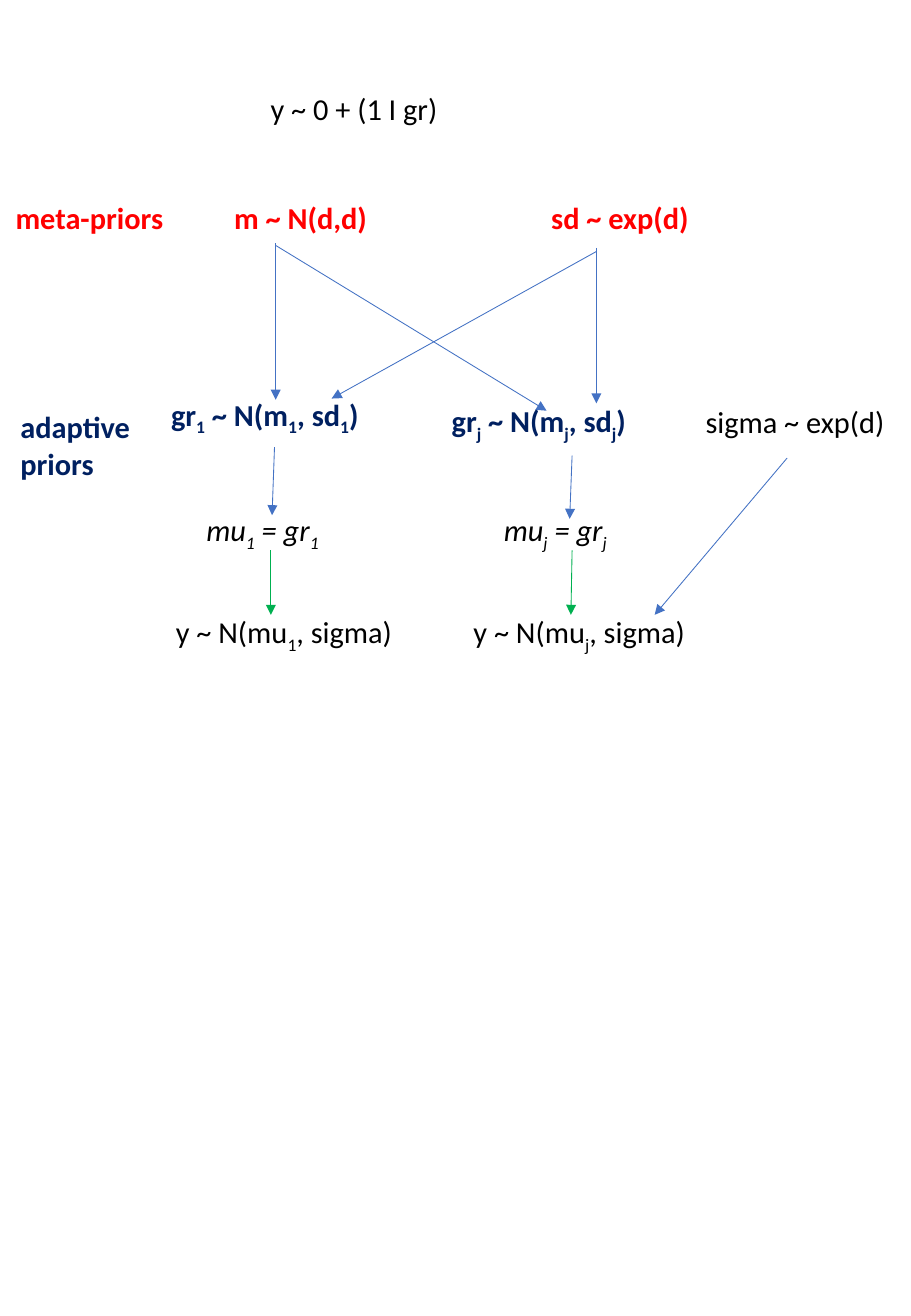
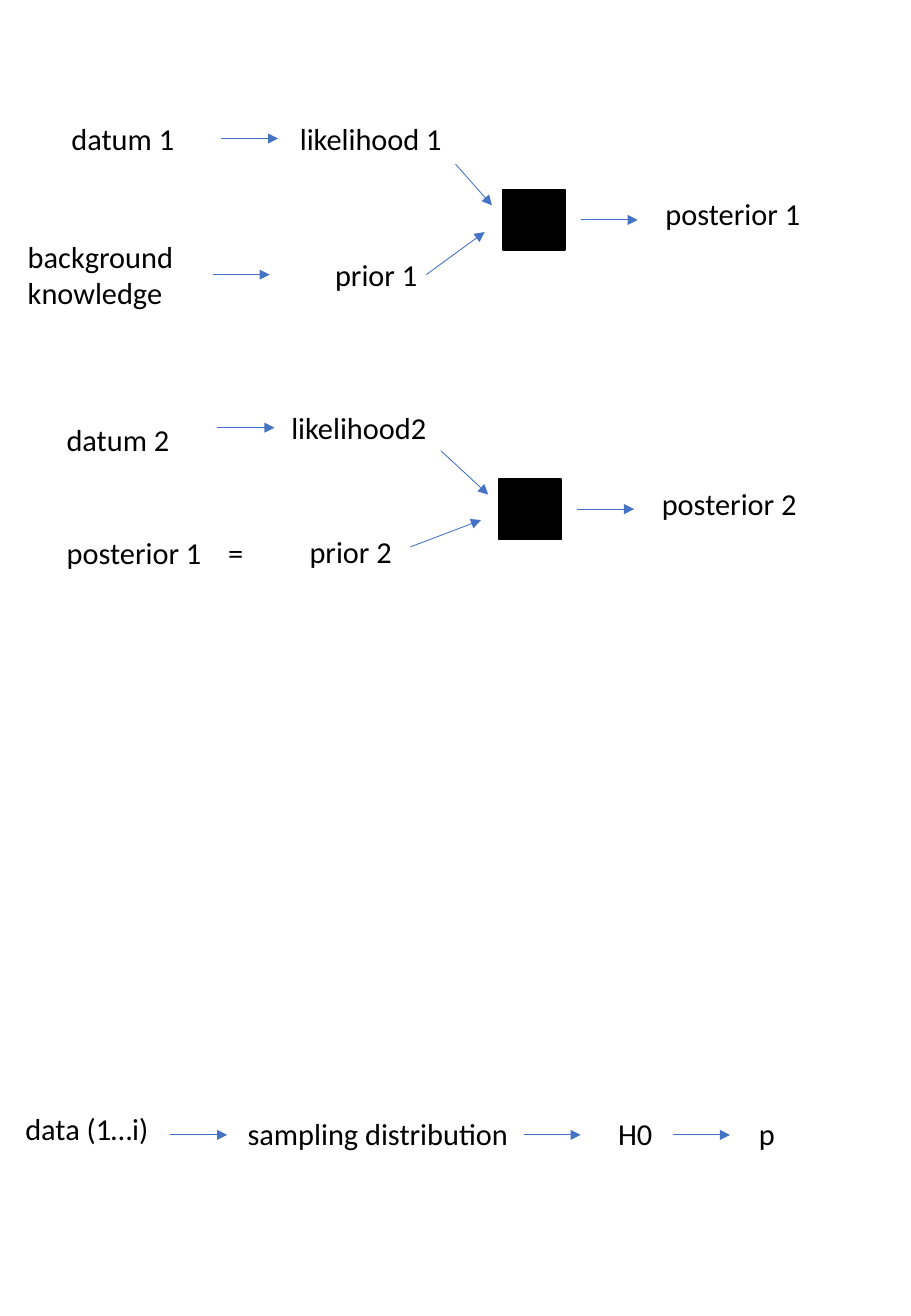
from lxml import etree
from pptx import Presentation
from pptx.dml.color import RGBColor
from pptx.enum.shapes import MSO_CONNECTOR, MSO_SHAPE
from pptx.enum.text import MSO_AUTO_SIZE
from pptx.oxml.ns import qn
from pptx.util import Emu, Pt

STRAIGHT = MSO_CONNECTOR.STRAIGHT
RECTANGLE = MSO_SHAPE.RECTANGLE
FIT_SHAPE = MSO_AUTO_SIZE.SHAPE_TO_FIT_TEXT

EMU_PER_PX = 9144  # 100 px to the inch
BLACK, RED, NAVY = "000000", "FF0000", "002060"
BLUE, GREEN = "4472C4", "00B050"

FORMULA = {"name": "Calibri", "size": Pt(18)}
BOLD = {**FORMULA, "bold": True}
ITALIC = {**FORMULA, "italic": True}

LINE_HEIGHT = 40
TWO_LINES_HEIGHT = 71
STEP_LENGTH = 47


def px(length):
    return Emu(length * EMU_PER_PX)


def rgb(color):
    return RGBColor.from_string(color)


def add_run(paragraph, text, color, style, subscript=False):
    run = paragraph.add_run()
    run.text = text
    for name, value in style.items():
        setattr(run.font, name, value)
    run.font.color.rgb = rgb(color)
    if subscript:
        run._r.get_or_add_rPr().set("baseline", "-25000")


def add_label(slide, text, x, y, width, color=BLACK, style=FORMULA):
    """Add text in which the character after each underscore is a subscript."""
    lines = text.split("\n")
    height = LINE_HEIGHT if len(lines) == 1 else TWO_LINES_HEIGHT
    frame = slide.shapes.add_textbox(px(x), px(y), px(width), px(height)).text_frame
    frame.word_wrap = False
    frame.auto_size = FIT_SHAPE
    for index, line in enumerate(lines):
        paragraph = frame.add_paragraph() if index else frame.paragraphs[0]
        start, *subscripted = line.split("_")
        add_run(paragraph, start, color, style)
        for part in subscripted:
            add_run(paragraph, part[0], color, style, subscript=True)
            if part[1:]:
                add_run(paragraph, part[1:], color, style)


def add_arrow(slide, x1, y1, x2, y2, color=BLUE):
    arrow = slide.shapes.add_connector(STRAIGHT, px(x1), px(y1), px(x2), px(y2))
    arrow.line.color.rgb = rgb(color)
    arrow.line.width = Pt(0.5)
    etree.SubElement(arrow.line._get_or_add_ln(), qn("a:tailEnd"), type="triangle")
    etree.SubElement(arrow._element.spPr, qn("a:effectLst"))


def add_step(slide, x, y):
    """Add the short arrow that leads rightwards to the next stage."""
    add_arrow(slide, x, y, x + STEP_LENGTH, y)


def add_update(slide, x, y, posterior):
    """Add the black box that turns likelihood and prior into a posterior."""
    box = slide.shapes.add_shape(RECTANGLE, px(x), px(y), px(51), px(50))
    box.shadow.inherit = False
    box.fill.solid()
    box.fill.fore_color.rgb = rgb(BLACK)
    box.line.color.rgb = rgb(BLACK)
    box.line.width = Pt(1)
    add_step(slide, x + 64, y + 25)
    add_label(slide, posterior, x + 124, y, 132)


def add_hierarchy_slide(slide):
    add_label(slide, "y ~ 0 + (1 I gr)", 213, 69, 160)

    for text, x, width in (("meta-priors", 3, 143),
                           ("m ~ N(d,d)", 183, 140),
                           ("sd ~ exp(d)", 444, 140)):
        add_label(slide, text, x, 159, width, RED, BOLD)
    for ends in ((227, 200, 227, 329), (227, 202, 450, 338),
                 (491, 204, 491, 332), (491, 207, 273, 328)):
        add_arrow(slide, *ends)

    add_label(slide, "adaptive\npriors", 7, 331, 111, NAVY, BOLD)
    add_label(slide, "gr_1 ~ N(m_1, sd_1)", 131, 321, 184, NAVY, BOLD)
    add_label(slide, "gr_j ~ N(m_j, sd_j)", 362, 326, 167, NAVY, BOLD)
    add_label(slide, "sigma ~ exp(d)", 571, 327, 169)
    add_arrow(slide, 226, 368, 224, 424)
    add_arrow(slide, 471, 375, 469, 427)
    add_arrow(slide, 648, 377, 539, 506)

    for group, mean_x, mean_width, outcome_x, outcome_width, top_x, tip_x in (
            ("1", 160, 118, 135, 204, 223, 223),
            ("j", 405, 110, 380, 200, 471, 470)):
        add_label(slide, f"mu_{group} = gr_{group}", mean_x, 416, mean_width,
                  style=ITALIC)
        add_arrow(slide, top_x, 453, tip_x, 506, GREEN)
        add_label(slide, f"y ~ N(mu_{group}, sigma)", outcome_x, 500, outcome_width)


def add_updating_slide(slide):
    for text, x, y, width in (
            ("datum 1", 49, 94, 106), ("likelihood 1", 237, 94, 138),
            ("background\nknowledge", 13, 191, 141), ("prior 1", 266, 206, 89),
            ("datum 2", 45, 342, 106), ("likelihood2", 230, 332, 133),
            ("posterior 1", 45, 435, 132), ("=", 178, 435, 34),
            ("prior 2", 245, 434, 89),
            ("data (1…i)", 11, 909, 129), ("sampling distribution", 194, 913, 237),
            ("H0", 499, 913, 49), ("p", 615, 913, 34)):
        add_label(slide, text, x, y, width)

    for x, y in ((182, 114), (175, 226), (179, 352),
                 (140, 934), (431, 934), (554, 934)):
        add_step(slide, x, y)
    for ends in ((375, 135, 405, 169), (351, 226, 399, 191),
                 (363, 371, 402, 407), (338, 450, 396, 428)):
        add_arrow(slide, *ends)

    add_update(slide, 414, 156, "posterior 1")
    add_update(slide, 411, 394, "posterior 2")


def main():
    presentation = Presentation()
    presentation.slide_width = px(750)
    presentation.slide_height = px(1083)
    blank = presentation.slide_layouts[6]
    for fill_slide in (add_hierarchy_slide, add_updating_slide):
        fill_slide(presentation.slides.add_slide(blank))
    presentation.save("out.pptx")


if __name__ == "__main__":
    main()
